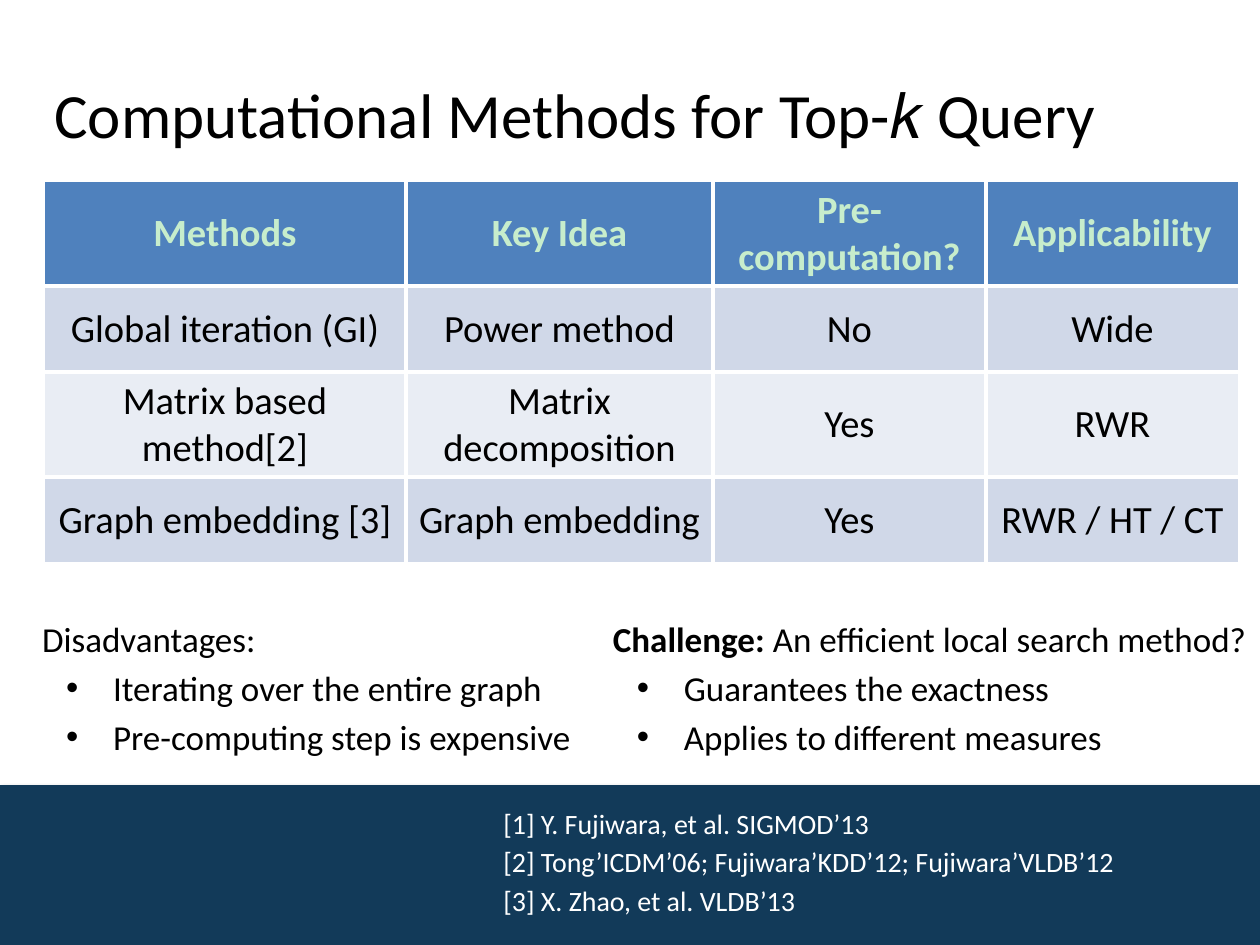
from dataclasses import dataclass

import pptx
import pptx.dml.color
import pptx.enum.shapes
import pptx.enum.text
import pptx.oxml
import pptx.oxml.ns
import pptx.util

SCALE = 914400 / 126
FONT = "Calibri"
NS = pptx.oxml.ns.nsdecls("a")
WHITE, BLACK, MINT = "FFFFFF", "000000", "C7EDCC"
NAVY, BLUE, PALE, LIGHT = "123A59", "4F81BD", "D0D8E8", "E9EDF4"
MID = pptx.enum.text.MSO_ANCHOR.MIDDLE
TOP = pptx.enum.text.MSO_ANCHOR.TOP


@dataclass
class Box:
    left: int
    top: int
    width: int
    height: int


@dataclass
class Note:
    box: Box
    lead: str
    head: str
    points: list[str]


def px(num: float) -> int:
    return round(num * SCALE)


def rgb(code: str) -> pptx.dml.color.RGBColor:
    return pptx.dml.color.RGBColor.from_string(code)


def paint(item, code: str) -> None:
    item.fill.solid()
    item.fill.fore_color.rgb = rgb(code)


def put(para, text: str, size: int = 20, color: str = BLACK, bold: bool = False,
        gap: int = 0, left: int = 0, hang: int = 0, center: bool = False) -> None:
    """Add a run to a paragraph and format both; hang sets a bullet."""
    prop = para._p.get_or_add_pPr()
    if left:
        prop.set("marL", str(px(left)))
        prop.set("indent", str(-px(hang)))
    if hang:
        prop.append(pptx.oxml.parse_xml(f'<a:buFont {NS} typeface="Arial"/>'))
        prop.append(pptx.oxml.parse_xml(f'<a:buChar {NS} char="•"/>'))
    if center:
        para.alignment = pptx.enum.text.PP_ALIGN.CENTER
    if gap:
        para.space_before = pptx.util.Pt(gap)
    run = para.add_run()
    run.text = text
    run.font.name = FONT
    run.font.size = pptx.util.Pt(size)
    run.font.bold = bold
    run.font.color.rgb = rgb(color)


def frame(slide, box: Box, side: float = 12.6, base: float = 6.3, anchor=TOP):
    shape = slide.shapes.add_textbox(px(box.left), px(box.top), px(box.width), px(box.height))
    text = shape.text_frame
    text.word_wrap = True
    text.vertical_anchor = anchor
    text.margin_left = text.margin_right = px(side)
    text.margin_top, text.margin_bottom = px(6.3), px(base)
    return text


def band(slide, box: Box) -> None:
    shape = slide.shapes.add_shape(pptx.enum.shapes.MSO_SHAPE.RECTANGLE, px(box.left),
                                   px(box.top), px(box.width), px(box.height))
    paint(shape, NAVY)
    shape.line.fill.background()
    shape.shadow.inherit = False
    effect = shape._element.spPr.find(pptx.oxml.ns.qn("a:effectLst"))
    effect.append(pptx.oxml.parse_xml(
        f'<a:outerShdw {NS} blurRad="39370" dist="22860" dir="5400000" rotWithShape="0">'
        '<a:srgbClr val="000000"><a:alpha val="35000"/></a:srgbClr></a:outerShdw>'))


def edge(cell, row: int, col: int, rows: int, cols: int) -> None:
    """Draw thin lines on the outside of the grid and thick ones inside."""
    outer = {"lnL": col == 0, "lnR": col == cols - 1, "lnT": row == 0, "lnB": row == rows - 1}
    for num, (tag, thin) in enumerate(outer.items()):
        width = pptx.util.Pt(1 if thin else 3)
        cell._tc.get_or_add_tcPr().insert(num, pptx.oxml.parse_xml(
            f'<a:{tag} {NS} w="{width}"><a:solidFill><a:srgbClr val="{WHITE}"/>'
            f'</a:solidFill></a:{tag}>'))


def grid(slide, box: Box, widths: list[int], data: list[list[str]]) -> None:
    rows, cols = len(data), len(widths)
    table = slide.shapes.add_table(rows, cols, px(box.left), px(box.top),
                                   px(box.width), px(box.height)).table
    for col, width in enumerate(widths):
        table.columns[col].width = px(width)
    for row, line in enumerate(data):
        table.rows[row].height = px(box.height / rows)
        for col, text in enumerate(line):
            cell = table.cell(row, col)
            cell.vertical_anchor = MID
            paint(cell, BLUE if row == 0 else PALE if row % 2 else LIGHT)
            edge(cell, row, col, rows, cols)
            put(cell.text_frame.paragraphs[0], text, size=22, bold=row == 0,
                color=BLACK if row else MINT, center=True)


def notes(slide, note: Note) -> None:
    text = frame(slide, note.box, side=0)
    para = text.paragraphs[0]
    if note.lead:
        put(para, note.lead, bold=True, left=7)
    put(para, note.head, left=7)
    for point in note.points:
        put(text.add_paragraph(), point, gap=4, left=78, hang=47)


TABLE = [
    ["Methods", "Key Idea", "Pre-computation?", "Applicability"],
    ["Global iteration (GI)", "Power method", "No", "Wide"],
    ["Matrix based method[2]", "Matrix decomposition", "Yes", "RWR"],
    ["Graph embedding [3]", "Graph embedding", "Yes", "RWR / HT / CT"],
]
NOTES = [
    Note(Box(35, 611, 551, 157), "", "Disadvantages:",
         ["Iterating over the entire graph", "Pre-computing step is expensive"]),
    Note(Box(606, 611, 654, 157), "Challenge:", " An efficient local search method?",
         ["Guarantees the exactness", "Applies to different measures"]),
]
REFS = [
    "[1] Y. Fujiwara, et al. SIGMOD’13",
    "[2] Tong’ICDM’06; Fujiwara’KDD’12; Fujiwara’VLDB’12",
    "[3] X. Zhao, et al. VLDB’13",
]


def main() -> None:
    deck = pptx.Presentation()
    deck.slide_width, deck.slide_height = px(1260), px(945)
    slide = deck.slides.add_slide(deck.slide_layouts[6])
    paint(slide.background, WHITE)

    # Footer band and title
    band(slide, Box(0, 785, 1260, 160))
    title = frame(slide, Box(42, 63, 1086, 94), base=0, anchor=MID)
    put(title.paragraphs[0], "Computational Methods for Top-𝑘 Query", size=36)

    # Comparison of methods
    grid(slide, Box(44, 181, 1196, 344), [362, 307, 273, 253], TABLE)

    # References on the band
    refs = frame(slide, Box(491, 800, 660, 127))
    for num, ref in enumerate(REFS):
        para = refs.add_paragraph() if num else refs.paragraphs[0]
        put(para, ref, size=16, color=WHITE, gap=3 if num else 0)

    # Points under the table
    for note in NOTES:
        notes(slide, note)

    deck.save("out.pptx")


if __name__ == "__main__":
    main()
